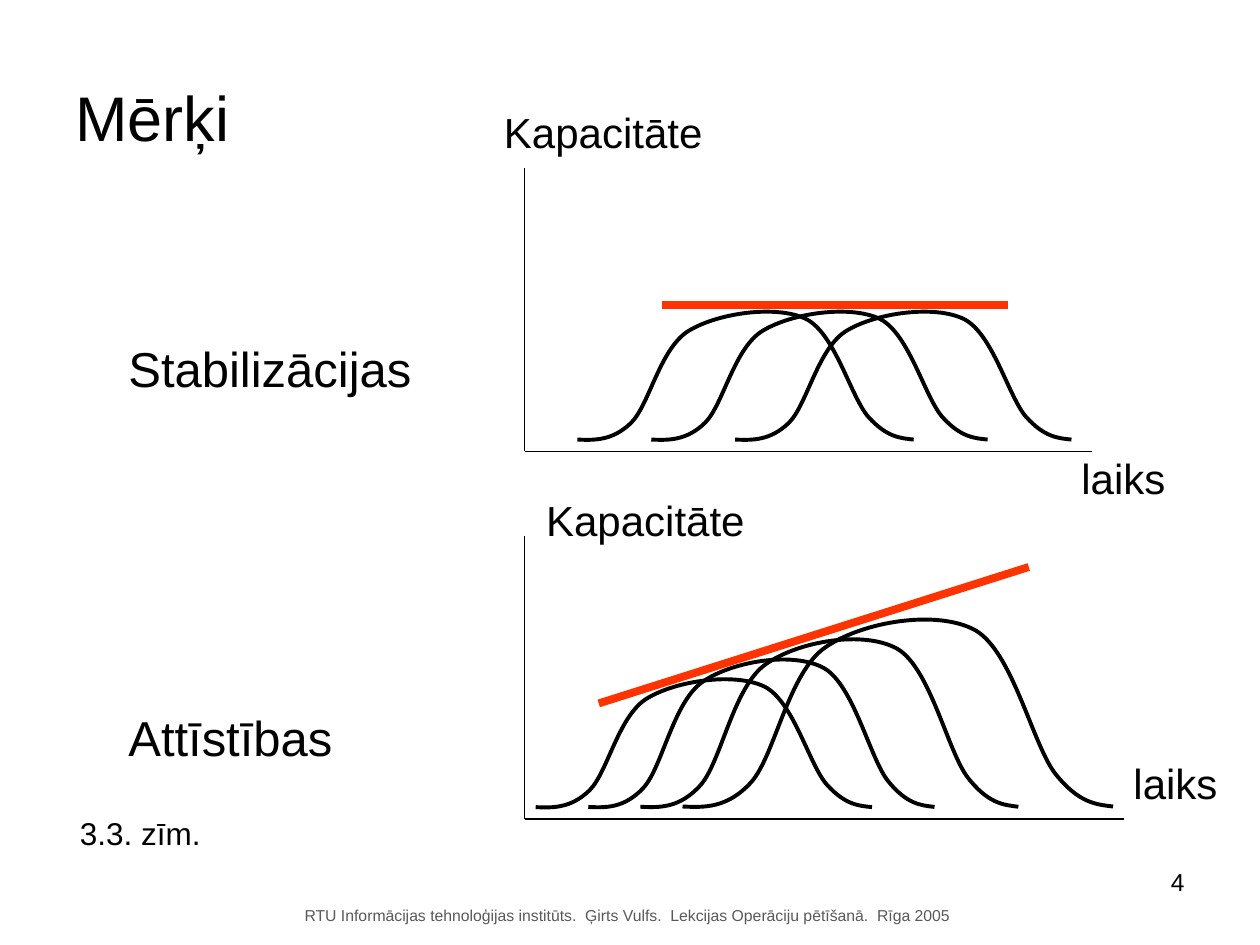
"""Build the slide comparing stabilisation and development goals as capacity over time."""
from dataclasses import dataclass

from pptx import Presentation
from pptx import util as u
from pptx.dml.color import RGBColor
from pptx.enum import shapes, text
from pptx.oxml import ns, xmlchemy


@dataclass(frozen=True)
class Theme:
    font: str = "Arial"
    ink: str = "000000"
    muted: str = "595959"
    trend: str = "FF3300"
    title: int = 36
    goal: int = 28
    axis: int = 24
    caption: int = 18
    number: int = 14
    footer: int = 9


theme = Theme()
deck = Presentation()
deck.slide_width, deck.slide_height = u.Cm(25.4), u.Cm(19.05)
slide = deck.slides.add_slide(deck.slide_layouts[6])


def add_text(words, left, top, width, height, size, color=theme.ink, wrap=False,
             align=text.PP_ALIGN.LEFT, anchor=text.MSO_ANCHOR.TOP):
    frame = slide.shapes.add_textbox(u.Cm(left), u.Cm(top), u.Cm(width), u.Cm(height)).text_frame
    frame.word_wrap = wrap
    frame.auto_size = text.MSO_AUTO_SIZE.NONE if wrap else text.MSO_AUTO_SIZE.SHAPE_TO_FIT_TEXT
    frame.vertical_anchor = anchor
    paragraph = frame.paragraphs[0]
    paragraph.alignment = align
    run = paragraph.add_run()
    run.text = words
    run.font.name, run.font.size = theme.font, u.Pt(size)
    run.font.color.rgb = RGBColor.from_string(color)


def add_line(x1, y1, x2, y2, color, weight):
    line = slide.shapes.add_connector(
        shapes.MSO_CONNECTOR.STRAIGHT, u.Cm(x1), u.Cm(y1), u.Cm(x2), u.Cm(y2))
    line.line.color.rgb = RGBColor.from_string(color)
    line.line.width = u.Pt(weight)
    line._element.spPr.append(xmlchemy.OxmlElement("a:effectLst"))


add_text("RTU Informācijas tehnoloģijas institūts.  Ģirts Vulfs.  "
         "Lekcijas Operāciju pētīšanā.  Rīga 2005",
         5.89, 18.14, 13.56, 0.64, theme.footer, color=theme.muted)
add_text("Mērķi", 1.27, 0.76, 22.86, 3.18, theme.title, wrap=True, anchor=text.MSO_ANCHOR.MIDDLE)

axis_left = 10.58
for axis_top, axis_bottom, axis_right in ((3.39, 9.1, 22.01), (10.8, 16.51, 22.65)):
    add_line(axis_left, axis_top, axis_left, axis_bottom, theme.ink, 0.75)
    add_line(axis_left, axis_bottom, axis_right, axis_bottom, theme.ink, 0.75)

bell_percent = [
    (0, 99), (5, 99.5), (10.4, 100), (16, 86.7), (21.5, 73.2), (24.6, 31.5), (33.3, 19),
    (41.9, 6.3), (59.1, 0), (68, 10.6), (76.7, 21.4), (81.3, 68), (86.6, 82.6), (92, 97.2),
    (96, 98), (100, 99),
]
stable_base, growth_base = 8.89, 16.3
cycles = [
    (11.64, stable_base, 6.78, 2.75),
    (13.13, stable_base, 6.78, 2.75),
    (14.82, stable_base, 6.78, 2.75),
    (10.8, growth_base, 6.78, 2.75),
    (11.86, growth_base, 6.98, 3.17),
    (12.91, growth_base, 7.62, 3.6),
    (13.76, growth_base, 8.68, 4.02),
]
for left, base, width, height in cycles:
    start, *controls = [
        (u.Cm(left + width * x / 100), u.Cm(base - height + height * y / 100))
        for x, y in bell_percent]
    builder = slide.shapes.build_freeform(*start)
    builder.add_line_segments(controls, close=False)
    cycle = builder.convert_to_shape()
    cycle.shadow.inherit = False
    cycle.fill.background()
    cycle.line.color.rgb = RGBColor.from_string(theme.ink)
    cycle.line.width = u.Pt(2.25)
    segments = list(cycle._element.iter(ns.qn("a:lnTo")))
    for first in range(0, len(segments), 3):
        curve = xmlchemy.OxmlElement("a:cubicBezTo")
        segments[first].addprevious(curve)
        for segment in segments[first:first + 3]:
            curve.append(segment[0])
            segment.getparent().remove(segment)

add_line(13.34, 6.14, 20.32, 6.14, theme.trend, 4.5)
add_line(12.07, 14.18, 20.74, 11.43, theme.trend, 4.5)

for words, left, top, width in (
        ("laiks", 21.55, 8.99, 2.24), ("laiks", 22.6, 15.14, 2.24),
        ("Kapacitāte", 9.91, 2.02, 4.54), ("Kapacitāte", 10.76, 9.85, 4.54)):
    add_text(words, left, top, width, 1.27, theme.axis)
for words, top, width in (("Stabilizācijas", 6.69, 6.28), ("Attīstības", 14.13, 4.66)):
    add_text(words, 2.34, top, width, 1.45, theme.goal)
add_text("3.3. zīm.", 1.36, 16.28, 2.98, 1.02, theme.caption)
add_text("4", 22.1, 17.35, 2.03, 1.32, theme.number, wrap=True, align=text.PP_ALIGN.RIGHT)

deck.save("out.pptx")
